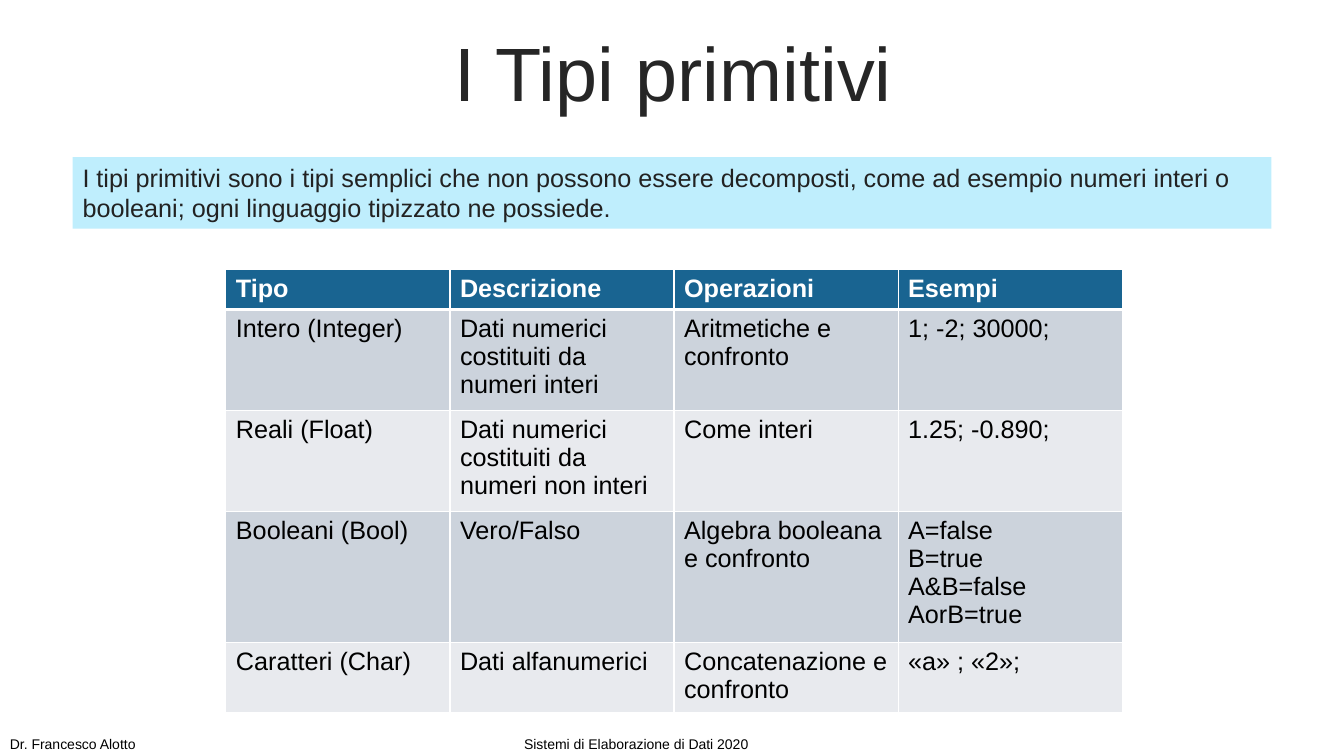
"""Build the slide on primitive data types."""
from lxml.etree import SubElement
from pptx import Presentation
from pptx.dml.color import RGBColor
from pptx.enum.shapes import MSO_SHAPE
from pptx.enum.text import MSO_ANCHOR, PP_ALIGN
from pptx.oxml.ns import qn
from pptx.util import Inches, Pt

WHITE = RGBColor(0xFF, 0xFF, 0xFF)
BLACK = RGBColor(0x00, 0x00, 0x00)
TITLE_GRAY = RGBColor(0x26, 0x26, 0x26)
TEXT_GRAY = RGBColor(0x22, 0x22, 0x22)
PALE_CYAN = RGBColor(0xBF, 0xEE, 0xFD)
HEADER_BLUE = RGBColor(0x19, 0x64, 0x91)
BANDS = [RGBColor(0xE8, 0xEA, 0xEE), RGBColor(0xCC, 0xD3, 0xDC)]

ROWS = [
    ["Tipo", "Descrizione", "Operazioni", "Esempi"],
    ["Intero (Integer)", "Dati numerici costituiti da numeri interi",
     "Aritmetiche e confronto", "1; -2; 30000;"],
    ["Reali (Float)", "Dati numerici costituiti da numeri non interi",
     "Come interi", "1.25; -0.890;"],
    ["Booleani (Bool)", "Vero/Falso", "Algebra booleana e confronto",
     "A=false\nB=true\nA&B=false\nAorB=true"],
    ["Caratteri (Char)", "Dati alfanumerici",
     "Concatenazione e confronto", "«a» ; «2»;"],
]
ROW_HEIGHTS = [0.39, 1, 1, 1.3, 0.7]


def write_text(frame, text, size=18, color=BLACK, bold=False,
               align=PP_ALIGN.LEFT, anchor=MSO_ANCHOR.TOP, line_spacing=None):
    frame.word_wrap = True
    frame.vertical_anchor = anchor
    frame.text = text
    for paragraph in frame.paragraphs:
        paragraph.alignment = align
        paragraph.line_spacing = line_spacing
        font = paragraph.runs[0].font
        font.name = "Arial"
        font.size = Pt(size)
        font.bold = bold
        font.color.rgb = color


def add_border(cell, side, width):
    line = SubElement(cell._tc.get_or_add_tcPr(), qn(f"a:ln{side}"), w=str(Pt(width)))
    fill = SubElement(line, qn("a:solidFill"))
    SubElement(fill, qn("a:srgbClr"), val=str(WHITE))


presentation = Presentation()
presentation.slide_width = Inches(13.33)
presentation.slide_height = Inches(7.5)
slide = presentation.slides.add_slide(presentation.slide_layouts[6])

title = slide.shapes.add_textbox(Inches(0.35), Inches(0.37), Inches(12.66), Inches(0.79))
write_text(title.text_frame, "I Tipi primitivi", size=54, color=TITLE_GRAY,
           align=PP_ALIGN.CENTER, anchor=MSO_ANCHOR.MIDDLE, line_spacing=0.9)

definition = slide.shapes.add_shape(
    MSO_SHAPE.RECTANGLE, Inches(0.72), Inches(1.56), Inches(11.89), Inches(0.71))
definition.shadow.inherit = False
definition.fill.solid()
definition.fill.fore_color.rgb = PALE_CYAN
definition.line.fill.background()
write_text(definition.text_frame,
           "I tipi primitivi sono i tipi semplici che non possono essere decomposti, "
           "come ad esempio numeri interi o booleani; ogni linguaggio tipizzato ne possiede.",
           color=TEXT_GRAY)

table = slide.shapes.add_table(
    len(ROWS), len(ROWS[0]), Inches(2.24), Inches(2.67),
    Inches(8.89), Inches(sum(ROW_HEIGHTS))).table
for row_index, (texts, height) in enumerate(zip(ROWS, ROW_HEIGHTS)):
    table.rows[row_index].height = Inches(height)
    is_header = row_index == 0
    for column_index, text in enumerate(texts):
        cell = table.cell(row_index, column_index)
        write_text(cell.text_frame, text, bold=is_header,
                   color=WHITE if is_header else BLACK)
        add_border(cell, "L", 1)
        add_border(cell, "R", 1)
        add_border(cell, "T", 3 if row_index == 1 else 1)
        add_border(cell, "B", 3 if is_header else 1)
        cell.fill.solid()
        cell.fill.fore_color.rgb = HEADER_BLUE if is_header else BANDS[row_index % 2]

for left, text in [(5.1, "Sistemi di Elaborazione di Dati 2020"), (0, "Dr. Francesco Alotto")]:
    footer = slide.shapes.add_textbox(Inches(left), Inches(7.25), Inches(2.66), Inches(0.27))
    write_text(footer.text_frame, text, size=10)

presentation.save("out.pptx")
